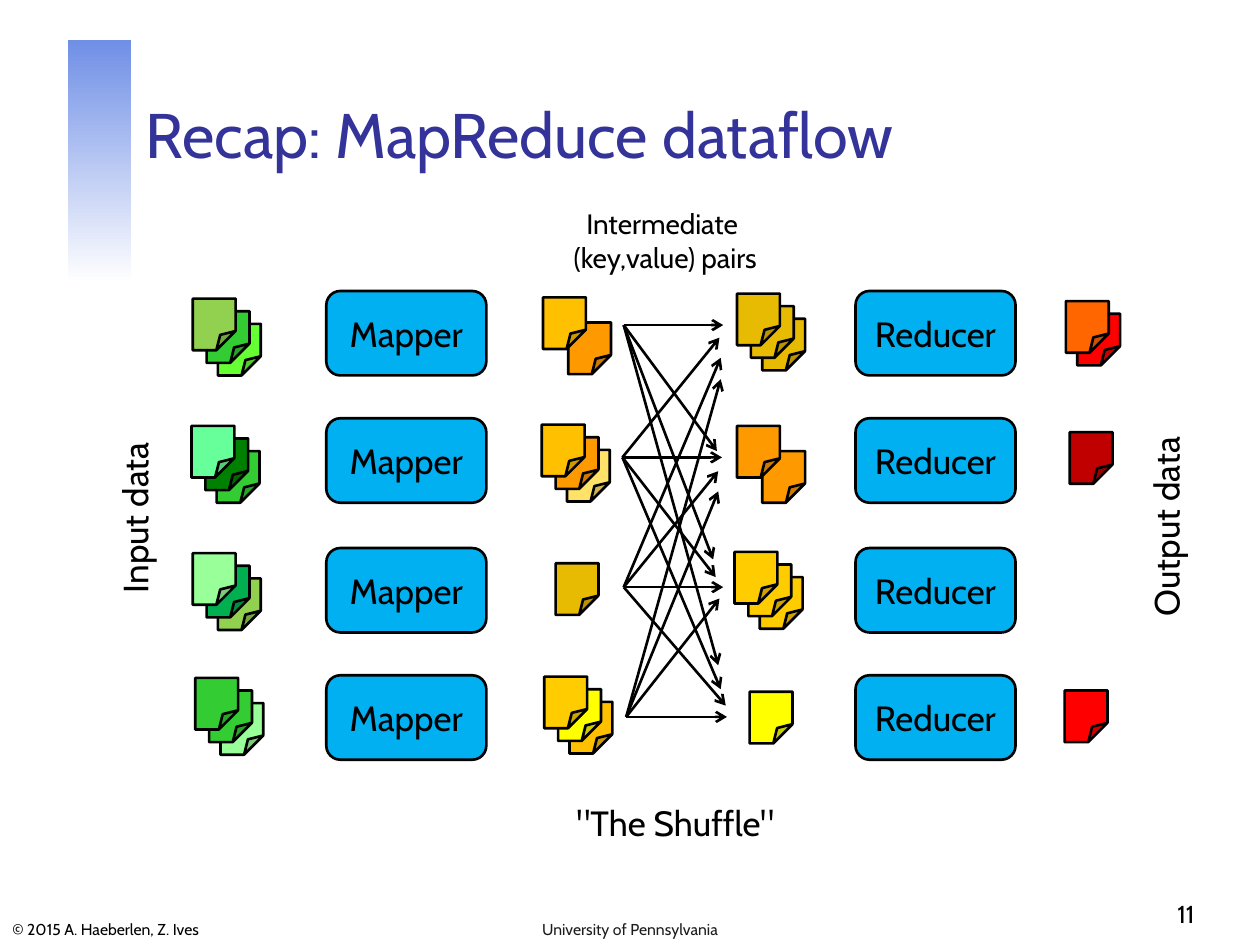
from dataclasses import dataclass

from lxml import etree
from pptx import Presentation
from pptx import util as u
from pptx.dml.color import RGBColor
from pptx.enum import shapes, text
from pptx.oxml.ns import qn

FONT = "Cabin"
COLORS = {
    "black": "000000", "white": "FFFFFF", "title": "333399", "footer": "1C1C1C",
    "band": "708FE6", "box": "00B0F0", "lime": "66FF33", "green": "33CC33",
    "olive": "92D050", "forest": "008000", "mint": "66FF99", "emerald": "00B050",
    "pale": "99FF99", "orange": "FF9900", "amber": "FFC000", "cream": "FFE267",
    "mustard": "E7BB01", "yellow": "FFFF00", "gold": "FFCC00",
    "crimson": "C00000", "red": "FF0000", "flame": "FF6600",
}
CASCADE = ((0.2, 0.2), (0.11, 0.1), (0, 0))
PAIR = ((0.2, 0.2), (0, 0))
CLOSE_PAIR = ((0.09, 0.1), (0, 0))
SINGLE = ((0, 0),)
ROW_TOPS = (2.31, 3.32, 4.35, 5.36)
LEFT, CENTER, RIGHT = text.PP_ALIGN.LEFT, text.PP_ALIGN.CENTER, text.PP_ALIGN.RIGHT
TOP, MIDDLE, BOTTOM = text.MSO_ANCHOR.TOP, text.MSO_ANCHOR.MIDDLE, text.MSO_ANCHOR.BOTTOM


@dataclass
class Stack:
    """Sheets from back to front; left and top belong to the front one."""
    left: float
    top: float
    offsets: tuple
    colors: str


@dataclass
class Label:
    """A text box."""
    lines: tuple
    left: float
    top: float
    width: float
    height: float
    size: int
    color: str = "black"
    align: text.PP_ALIGN = CENTER
    anchor: text.MSO_ANCHOR = TOP
    wrap: bool = False
    rotation: int = 0


INPUTS = (
    Stack(1.53, 2.37, CASCADE, "lime green olive"),
    Stack(1.52, 3.38, CASCADE, "green forest mint"),
    Stack(1.53, 4.39, CASCADE, "olive emerald pale"),
    Stack(1.55, 5.38, CASCADE, "pale green green"),
)
MAPPED = (
    Stack(4.31, 2.36, PAIR, "orange amber"),
    Stack(4.3, 3.37, CASCADE, "cream orange amber"),
    Stack(4.41, 4.47, SINGLE, "mustard"),
    Stack(4.32, 5.37, CASCADE, "amber yellow gold"),
)
OUTPUTS = (
    Stack(8.49, 3.43, SINGLE, "crimson"),
    Stack(8.45, 5.48, SINGLE, "red"),
    Stack(8.46, 2.39, CLOSE_PAIR, "red flame"),
)
SHUFFLED = (
    Stack(5.85, 3.38, PAIR, "orange orange"),
    Stack(5.83, 4.38, CASCADE, "gold gold gold"),
    Stack(5.95, 5.49, SINGLE, "yellow"),
    Stack(5.85, 2.33, CASCADE, "mustard mustard mustard"),
)
ARROW_STARTS = ((4.95, 2.58), (4.94, 3.63), (4.95, 4.66), (4.97, 5.69))
ARROW_ENDS = (
    ((5.74, 2.58), (5.69, 3.58), (5.66, 4.44), (5.7, 5.28)),
    ((5.71, 2.68), (5.73, 3.63), (5.68, 4.58), (5.72, 5.47)),
    ((5.72, 2.84), (5.7, 3.74), (5.74, 4.66), (5.76, 5.6)),
    ((5.72, 3.01), (5.7, 3.9), (5.71, 4.75), (5.77, 5.69)),
)
PAGE_LABELS = (
    Label(("© 2015 A. Haeberlen, Z. Ives",), 0, 7.22, 1.94, 0.28, 9,
          align=LEFT, anchor=BOTTOM, wrap=True),
    Label(("Recap: MapReduce dataflow",), 1.06, 0.33, 8.52, 1.08, 36,
          "title", LEFT, BOTTOM, True),
    Label(("11",), 7.5, 6.92, 2.08, 0.5, 14, align=RIGHT, anchor=BOTTOM, wrap=True),
    Label(("University of Pennsylvania",), 3.42, 7.22, 3.16, 0.28, 9,
          "footer", anchor=BOTTOM, wrap=True),
)
FLOW_LABELS = (
    Label(("Input data",), 0.29, 3.89, 1.56, 0.44, 20, rotation=270),
    Label(("Output data",), 8.36, 3.96, 1.79, 0.44, 20, rotation=270),
    Label(('"The Shuffle"',), 4.41, 6.31, 1.9, 0.44, 20),
    Label(("Intermediate ", "(key,value) pairs"), 4.34, 1.59, 1.88, 0.64, 16),
)


def rgb(name: str) -> RGBColor:
    """Look up a named colour."""
    return RGBColor.from_string(COLORS[name])


def write(sp, lines: tuple, size: int, color: str, align, anchor, wrap: bool) -> None:
    """Fill a shape with one paragraph of text."""
    tf = sp.text_frame
    tf.word_wrap = wrap
    tf.vertical_anchor = anchor
    p = tf.paragraphs[0]
    p.alignment = align
    for i, line in enumerate(lines):
        if i:
            p.add_line_break()
        r = p.add_run()
        r.text = line
        r.font.name = FONT
        r.font.size = u.Pt(size)
        r.font.color.rgb = rgb(color)


def add_label(s, label: Label) -> None:
    """Draw a text box."""
    sp = s.shapes.add_textbox(*map(u.Inches, (label.left, label.top, label.width, label.height)))
    sp.rotation = label.rotation
    write(sp, label.lines, label.size, label.color, label.align, label.anchor, label.wrap)


def add_outlined(s, kind, left: float, top: float, width: float, height: float, color: str):
    """Draw a filled shape with a black outline."""
    sp = s.shapes.add_shape(kind, *map(u.Inches, (left, top, width, height)))
    sp.shadow.inherit = False
    sp.fill.solid()
    sp.fill.fore_color.rgb = rgb(color)
    sp.line.color.rgb = rgb("black")
    sp.line.width = u.Pt(1.5)
    return sp


def add_stack(s, stack: Stack) -> None:
    """Draw a pile of folded sheets."""
    for (dx, dy), color in zip(stack.offsets, stack.colors.split()):
        sp = add_outlined(s, shapes.MSO_SHAPE.FOLDED_CORNER, stack.left + dx, stack.top + dy,
                          0.34, 0.41, color)
        guides = sp._element.spPr.find(qn("a:prstGeom")).find(qn("a:avLst"))
        etree.SubElement(guides, qn("a:gd"), name="adj", fmla="val 44800")


def add_workers(s, name: str, left: float) -> None:
    """Draw a column of worker boxes."""
    for top in ROW_TOPS:
        sp = add_outlined(s, shapes.MSO_SHAPE.ROUNDED_RECTANGLE, left, top, 1.27, 0.67, "box")
        write(sp, (name,), 20, "black", CENTER, MIDDLE, True)


def add_arrow(s, start: tuple, end: tuple) -> None:
    """Draw a line with an open arrowhead at its end."""
    sp = s.shapes.add_connector(shapes.MSO_CONNECTOR.STRAIGHT, *map(u.Inches, start + end))
    sp.line.color.rgb = rgb("black")
    sp.line.width = u.Pt(1.5)
    props = sp._element.spPr
    etree.SubElement(props.find(qn("a:ln")), qn("a:tailEnd"), type="arrow")
    etree.SubElement(props, qn("a:effectLst"))


def add_band(s) -> None:
    """Draw the fading band beside the title."""
    sp = s.shapes.add_shape(shapes.MSO_SHAPE.RECTANGLE, *map(u.Inches, (0.54, 0.32, 0.5, 1.93)))
    sp.shadow.inherit = False
    sp.line.fill.background()
    sp.fill.gradient()
    sp.fill.gradient_angle = 270
    for stop, color in zip(sp.fill.gradient_stops, ("band", "white")):
        stop.color.rgb = rgb(color)


def main() -> None:
    """Build the slide."""
    prs = Presentation()
    prs.slide_width, prs.slide_height = u.Inches(10), u.Inches(7.5)
    s = prs.slides.add_slide(prs.slide_layouts[6])
    add_band(s)
    for label in PAGE_LABELS:
        add_label(s, label)
    for stack in INPUTS:
        add_stack(s, stack)
    add_workers(s, "Mapper", 2.59)
    for stack in MAPPED:
        add_stack(s, stack)
    add_workers(s, "Reducer", 6.79)
    for stack in OUTPUTS + SHUFFLED:
        add_stack(s, stack)
    for start, ends in zip(ARROW_STARTS, ARROW_ENDS):
        for end in ends:
            add_arrow(s, start, end)
    for label in FLOW_LABELS:
        add_label(s, label)
    prs.save("out.pptx")


if __name__ == "__main__":
    main()
